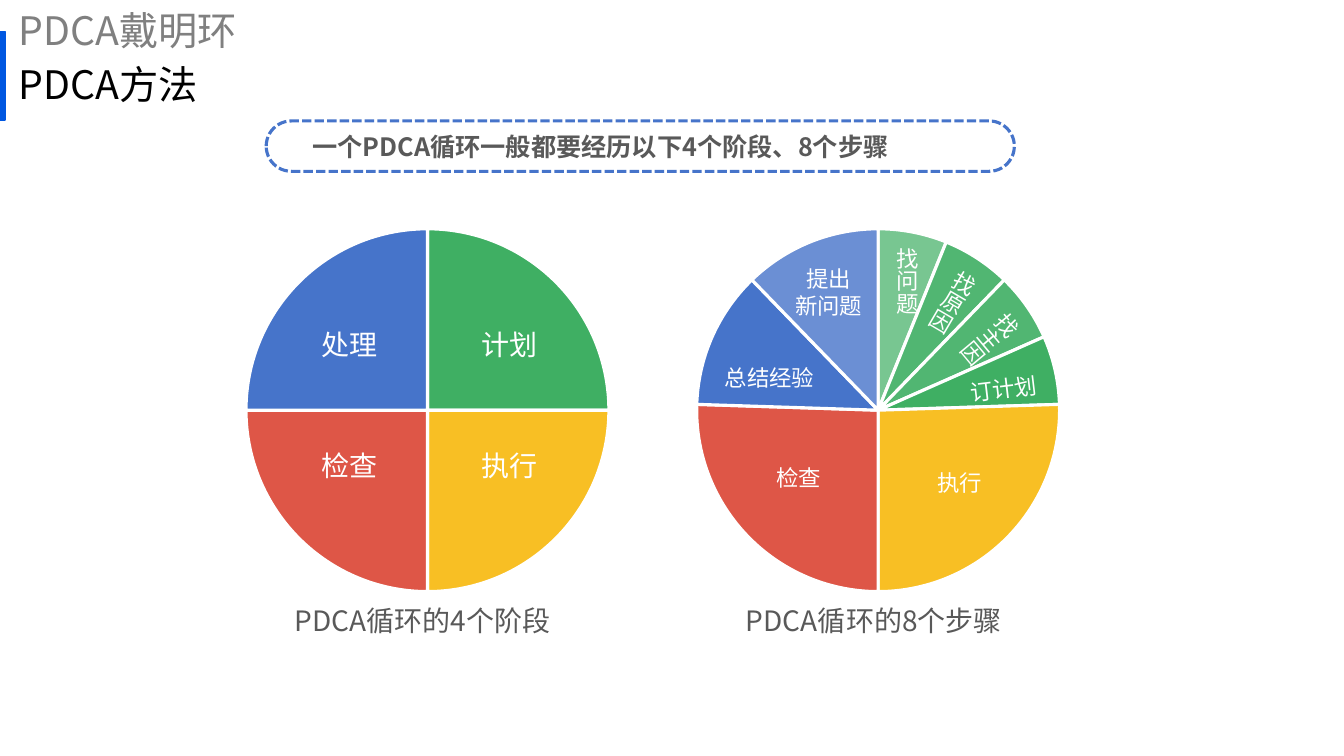
from lxml import etree
from pptx import Presentation
from pptx import util as u
from pptx.chart.data import CategoryChartData
from pptx.dml.color import RGBColor
from pptx.enum import chart, dml, shapes, text
from pptx.oxml import parse_xml
from pptx.oxml.ns import nsdecls, qn

FONT = "Noto Sans CJK SC"
COLORS = {"accent": "0057E1", "black": "000000", "gray": "808080", "dark": "595959",
          "white": "FFFFFF", "blue": "4674CA", "green": "3FAF63",
          "yellow": "F8BF24", "red": "DE5647"}

HEADINGS = [("PDCA戴明环", 0, "gray"), ("PDCA方法", 0.53, "black")]
SUMMARY = "一个PDCA循环一般都要经历以下4个阶段、8个步骤"
PIES = [
    {"left": 1.33,
     "slices": [(25, "green", 100), (25, "yellow", 100), (25, "red", 100), (25, "blue", 100)],
     "caption": ("PDCA循环的4个阶段", 2.82)},
    {"left": 5.8,
     "slices": [(6, "green", 70), (6, "green", 90), (6, "green", 90), (6, "green", 100),
                (25, "yellow", 100), (25, "red", 100), (12, "blue", 100), (12, "blue", 80)],
     "caption": ("PDCA循环的8个步骤", 7.3)},
]
PIE_TOP, PIE_WIDTH, PIE_HEIGHT, DIAMETER = 2.13, 5.82, 3.88, 3.6
STAGES = [["处理", "计划"], ["检查", "执行"]]
STEPS = [
    ("总结经验", (7.09, 3.56, 1.1, 0.37), {}),
    ("检查", (7.6, 4.56, 0.65, 0.37), {}),
    ("执行", (9.2, 4.61, 0.65, 0.37), {}),
    ("提出\n新问题", (7.78, 2.58, 0.88, 0.64), {"align": text.PP_ALIGN.CENTER}),
    ("订计划", (9.52, 3.67, 0.88, 0.37), {"rotation": 353.1}),
    ("找问题", (8.71, 2.36, 0.47, 0.77), {"vertical": True}),
    ("找原因", (9.19, 2.55, 0.47, 0.77), {"vertical": True, "rotation": 30.4}),
    ("找主因", (9.58, 2.91, 0.47, 0.77), {"vertical": True, "rotation": 50.1}),
]


def rgb(name):
    return RGBColor.from_string(COLORS[name])


def box(at):
    return [u.Inches(v) for v in at]


def add_text(s, words, at, size, color, wrap=False, grow=True, bold=False, align=None,
             spacing=None, vertical=False, rotation=0):
    sp = s.shapes.add_textbox(*box(at))
    sp.rotation = rotation
    tf = sp.text_frame
    frame = {"word_wrap": wrap,
             "auto_size": text.MSO_AUTO_SIZE.SHAPE_TO_FIT_TEXT if grow else text.MSO_AUTO_SIZE.NONE,
             "vertical_anchor": text.MSO_ANCHOR.TOP if grow else text.MSO_ANCHOR.MIDDLE}
    for key, value in frame.items():
        setattr(tf, key, value)
    if vertical:
        tf._txBody.bodyPr.set("vert", "eaVert")
    tf.text = words
    for p in tf.paragraphs:
        p.alignment, p.line_spacing = align, spacing
        for r in p.runs:
            for key, value in {"size": u.Pt(size), "bold": bold, "name": FONT}.items():
                setattr(r.font, key, value)
            r.font.color.rgb = rgb(color)
            etree.SubElement(r._r.rPr, qn("a:ea")).set("typeface", FONT)


def add_block(s, kind, at):
    sp = s.shapes.add_shape(kind, *box(at))
    sp.shadow.inherit = False
    return sp


def add_pie(s, left, slices):
    data = CategoryChartData()
    data.categories = [str(i + 1) for i in range(len(slices))]
    data.add_series("Series 1", [value for value, _, _ in slices])
    at = box((left, PIE_TOP, PIE_WIDTH, PIE_HEIGHT))
    pie = s.shapes.add_chart(chart.XL_CHART_TYPE.PIE, *at, data).chart
    pie.has_legend = pie.has_title = False
    pie.font.name, pie.font.size = "Calibri", u.Pt(10)
    pie.font.color.rgb = rgb("black")
    plot = pie.plots[0]
    plot.vary_by_categories = True
    for i, (_, color, opacity) in enumerate(slices):
        style = plot.series[0].points[i].format
        style.fill.solid()
        style.fill.fore_color.rgb = rgb(color)
        style.line.color.rgb = rgb("white")
        style.line.width = u.Pt(2.25)
        if opacity < 100:
            fill = style.fill._xPr.find(qn("a:solidFill"))[0]
            etree.SubElement(fill, qn("a:alpha")).set("val", str(opacity * 1000))
    w, h = DIAMETER / PIE_WIDTH, DIAMETER / PIE_HEIGHT
    sizes = {"x": (1 - w) / 2, "y": (1 - h) / 2, "w": w, "h": h}
    parts = "".join(f'<c:{key} val="{value:.4f}"/>' for key, value in sizes.items())
    area = pie._chartSpace.chart.plotArea
    for old in area.findall(qn("c:layout")):
        area.remove(old)
    area.insert(0, parse_xml(
        f'<c:layout {nsdecls("c")}><c:manualLayout><c:layoutTarget val="inner"/>'
        f'<c:xMode val="edge"/><c:yMode val="edge"/>{parts}</c:manualLayout></c:layout>'))


def main():
    """Build the PDCA method slide."""
    prs = Presentation()
    prs.slide_width, prs.slide_height = u.Inches(13.33), u.Inches(7.5)
    s = prs.slides.add_slide(prs.slide_layouts[6])

    bar = add_block(s, shapes.MSO_SHAPE.RECTANGLE, (0, 0.31, 0.05, 0.88))
    bar.fill.solid()
    bar.fill.fore_color.rgb = bar.line.color.rgb = rgb("accent")
    bar.line.width = u.Pt(1)
    for words, top, color in HEADINGS:
        add_text(s, words, (0.09, top, 11.5, 0.66), 28, color, wrap=True, grow=False, spacing=0.9)

    add_text(s, SUMMARY, (3, 1.25, 6.33, 0.4), 18, "dark", wrap=True, bold=True)
    pill = add_block(s, shapes.MSO_SHAPE.ROUNDED_RECTANGLE, (2.64, 1.2, 7.42, 0.5))
    pill.adjustments[0] = 0.5
    pill.fill.background()
    pill.line.color.rgb = rgb("blue")
    pill.line.width = u.Pt(2.25)
    pill.line.dash_style = dml.MSO_LINE.SQUARE_DOT

    for pie in PIES:
        add_pie(s, pie["left"], pie["slices"])
        words, left = pie["caption"]
        add_text(s, words, (left, 5.94, 2.82, 0.44), 20, "dark", wrap=True)
    for row, names in enumerate(STAGES):
        for col, name in enumerate(names):
            add_text(s, name, (3.09 + 1.59 * col, 3.2 + 1.2 * row, 0.76, 0.44), 20, "white")
    for words, at, look in STEPS:
        add_text(s, words, at, 16, "white", **look)

    prs.save("out.pptx")


if __name__ == "__main__":
    main()
